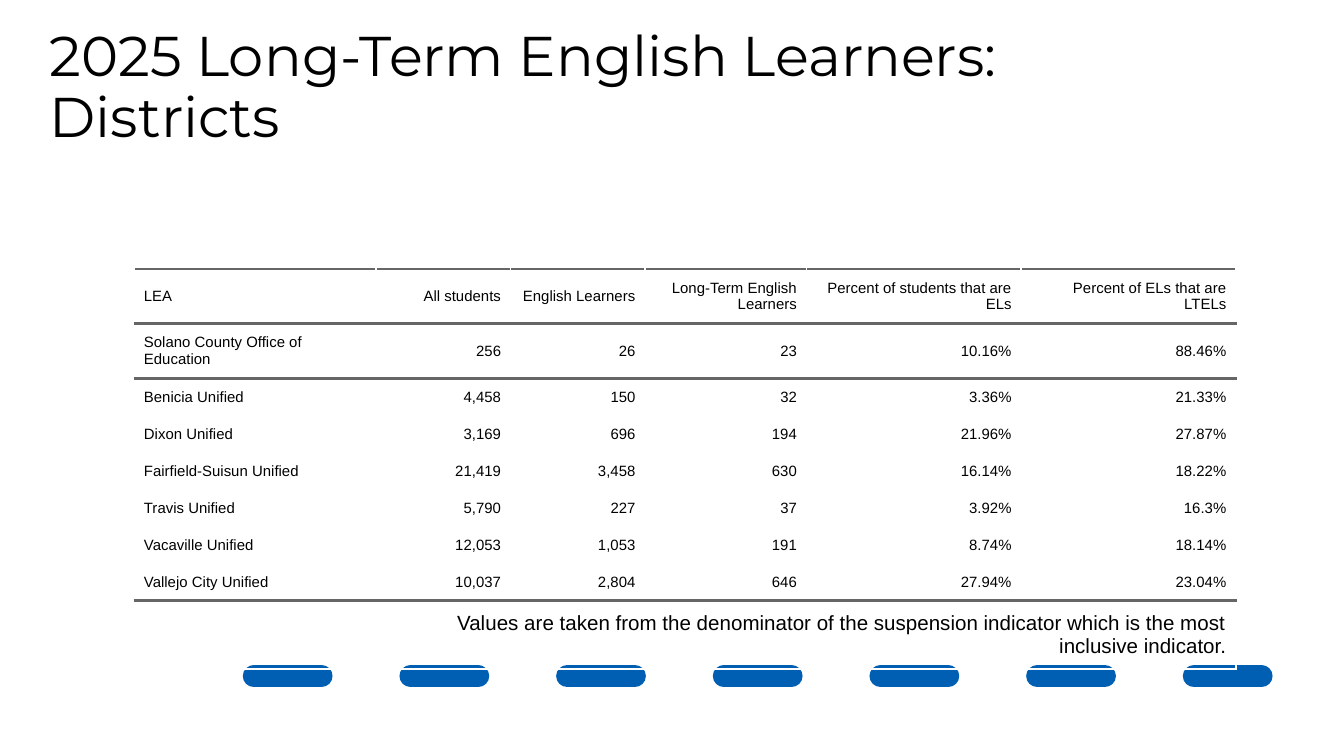
from dataclasses import dataclass

from lxml.etree import SubElement
from pptx import Presentation
from pptx.dml.color import RGBColor
from pptx.enum.dml import MSO_LINE
from pptx.enum.shapes import MSO_CONNECTOR
from pptx.enum.text import MSO_ANCHOR, PP_ALIGN
from pptx.oxml.ns import qn
from pptx.util import Cm, Pt


@dataclass(frozen=True)
class Theme:
    """Colours, fonts and type sizes of the slide."""

    ink: str = "000000"
    blue: str = "005FB2"
    grey: str = "666666"
    head: str = "Montserrat"
    body: str = "Arial"
    big: int = 30
    note: int = 11
    small: int = 8
    edge: float = 1.5
    dash: int = 12


THEME = Theme()
TITLE = "2025 Long-Term English Learners: Districts"
ROWS = [
    ("LEA", "All students", "English Learners", "Long-Term English Learners",
     "Percent of students that are ELs", "Percent of ELs that are LTELs"),
    ("Solano County Office of Education", "256", "26", "23", "10.16%", "88.46%"),
    ("Benicia Unified", "4,458", "150", "32", "3.36%", "21.33%"),
    ("Dixon Unified", "3,169", "696", "194", "21.96%", "27.87%"),
    ("Fairfield-Suisun Unified", "21,419", "3,458", "630", "16.14%", "18.22%"),
    ("Travis Unified", "5,790", "227", "37", "3.92%", "16.3%"),
    ("Vacaville Unified", "12,053", "1,053", "191", "8.74%", "18.14%"),
    ("Vallejo City Unified", "10,037", "2,804", "646", "27.94%", "23.04%"),
]
NOTE = ("Values are taken from the denominator of the suspension indicator "
        "which is the most inclusive indicator.")
SHARES = (9, 5, 5, 6, 8, 8)


def style(para, face, size):
    """Set the face, size and colour of a paragraph."""
    para.font.name = face
    para.font.size = Pt(size)
    para.font.color.rgb = RGBColor.from_string(THEME.ink)


def add_title(slide, box):
    """Place the title at the foot of its box."""
    frame = slide.shapes.add_textbox(*map(Cm, box)).text_frame
    frame.word_wrap = True
    frame.vertical_anchor = MSO_ANCHOR.BOTTOM
    frame.text = TITLE
    para = frame.paragraphs[0]
    para.line_spacing = 0.9
    style(para, THEME.head, THEME.big)


def add_edge(cell, side):
    """Draw a grey border on one side of a cell."""
    line = SubElement(cell._tc.get_or_add_tcPr(), qn(f"a:ln{side}"),
                      w=str(Pt(THEME.edge)))
    fill = SubElement(line, qn("a:solidFill"))
    SubElement(fill, qn("a:srgbClr"), val=THEME.grey)


def fill_cell(cell, text, size, align, sides):
    """Write a table cell and give it its margins and borders."""
    for side in sides:
        add_edge(cell, side)
    cell.fill.background()
    cell.margin_left = cell.margin_right = Cm(0.18)
    cell.margin_top = cell.margin_bottom = Cm(0.18)
    cell.vertical_anchor = MSO_ANCHOR.MIDDLE
    cell.text_frame.text = text
    para = cell.text_frame.paragraphs[0]
    para.alignment = align
    style(para, THEME.body, size)


def add_grid(slide, box):
    """Place the district table with its note in the last row."""
    count = len(ROWS)
    table = slide.shapes.add_table(count + 1, len(SHARES), *map(Cm, box)).table
    table.first_row = table.horz_banding = False
    for column, share in zip(table.columns, SHARES):
        column.width = Cm(round(box[2] * share / sum(SHARES), 2))
    for row in table.rows:
        row.height = Cm(0.64)
    table.cell(count, 1).merge(table.cell(count, len(SHARES) - 1))
    sides = {0: "TB", 1: "T", count - 1: "B", count: "T"}
    foot = ("", NOTE) + ("",) * (len(SHARES) - 2)
    for r, texts in enumerate(ROWS + [foot]):
        size = THEME.note if r == count else THEME.small
        for c, text in enumerate(texts):
            align = PP_ALIGN.RIGHT if c else PP_ALIGN.LEFT
            fill_cell(table.cell(r, c), text, size, align, sides.get(r, ""))


def add_dashes(slide, box):
    """Draw the thick dashed rule along the top of its box."""
    left, top, width, _ = box
    rule = slide.shapes.add_connector(
        MSO_CONNECTOR.STRAIGHT, Cm(left), Cm(top), Cm(left + width), Cm(top))
    rule.line.color.rgb = RGBColor.from_string(THEME.blue)
    rule.line.width = Pt(THEME.dash)
    rule.line.dash_style = MSO_LINE.DASH
    props = rule.element.spPr
    props.find(qn("a:ln")).set("cap", "rnd")
    SubElement(props, qn("a:effectLst"))


def main():
    """Build and save the slide."""
    deck = Presentation()
    deck.slide_width, deck.slide_height = Cm(25.4), Cm(14.29)
    slide = deck.slides.add_slide(deck.slide_layouts[6])
    add_dashes(slide, (4.8, 12.78, 20.6, 0))
    add_title(slide, (0.69, 0.56, 22.02, 2.39))
    add_grid(slide, (2.54, 5.08, 20.83, 5.76))
    deck.save("out.pptx")


if __name__ == "__main__":
    main()
